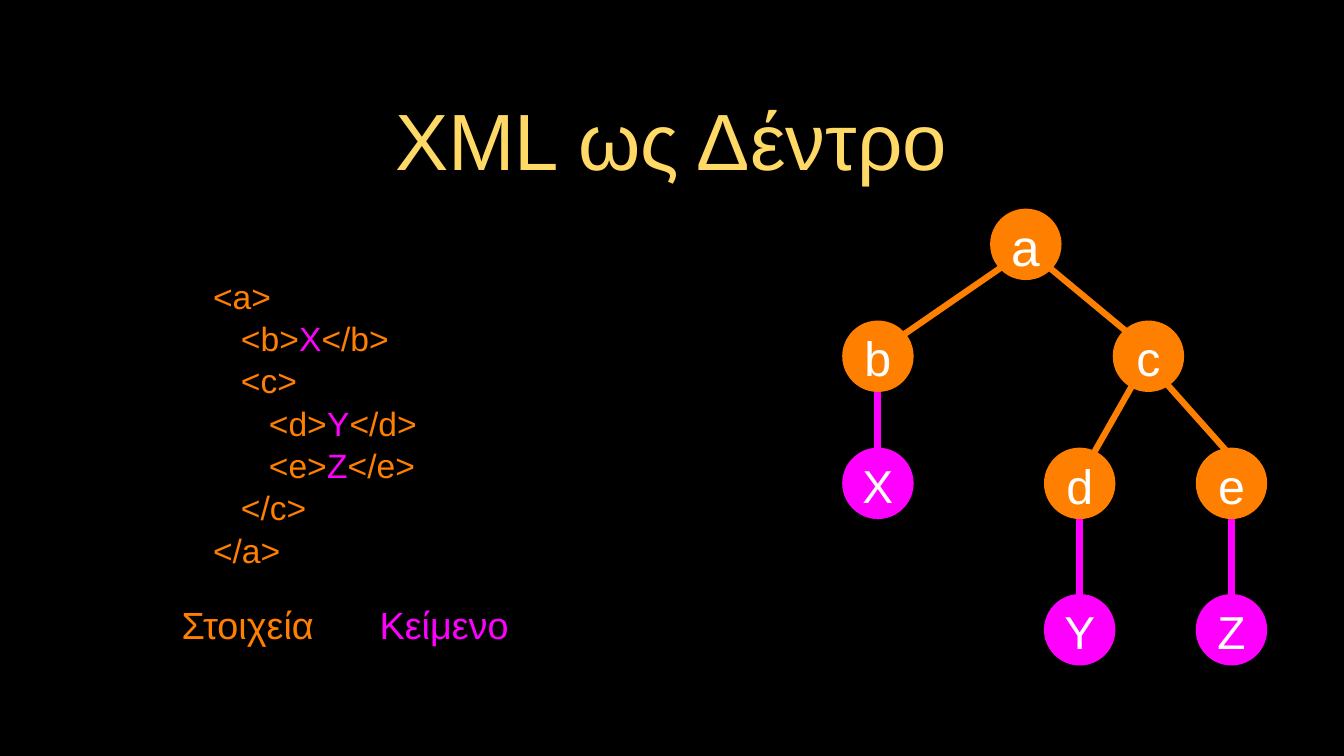
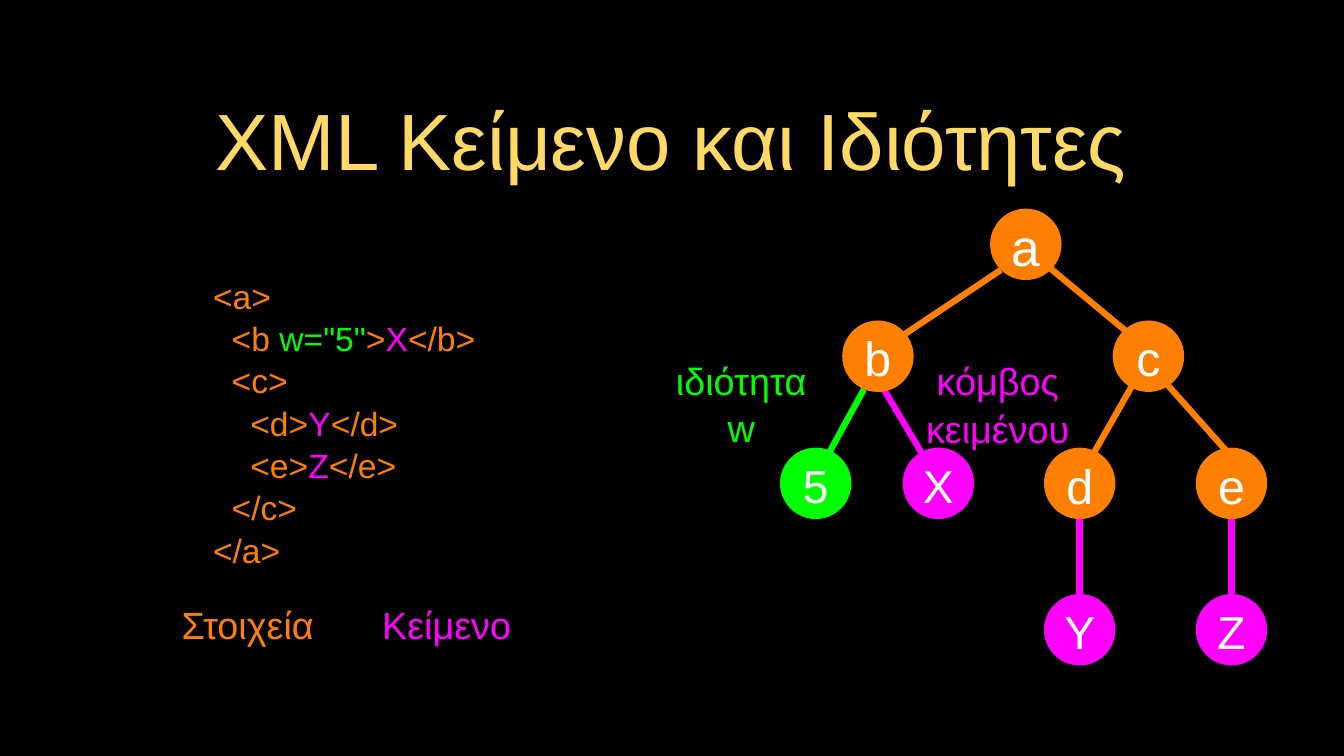
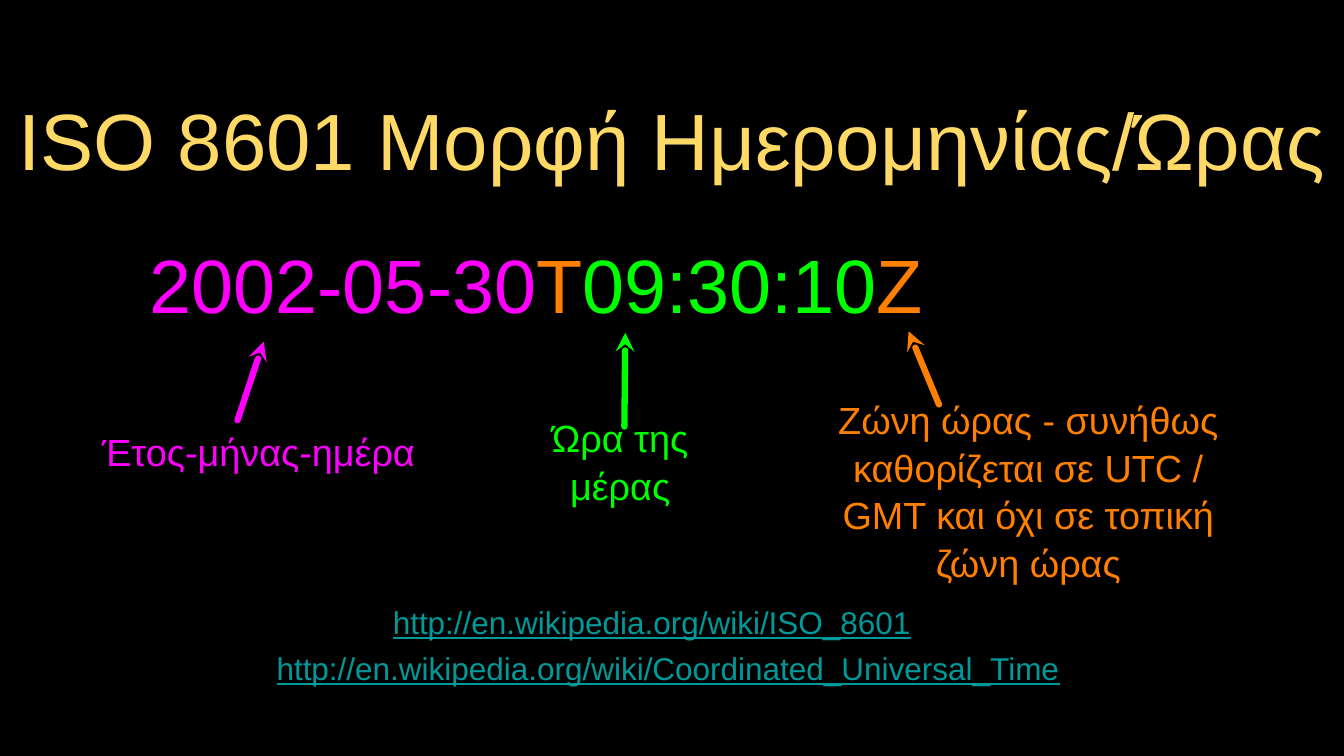
from pptx import Presentation
from pptx.util import Cm, Pt
from pptx.dml.color import RGBColor as RGB
from pptx.enum.shapes import MSO_CONNECTOR as CONN, MSO_SHAPE as SHAPE
from pptx.enum.text import MSO_ANCHOR as ANCHOR, PP_ALIGN as ALIGN
from lxml import etree
from pptx.oxml.ns import qn

COLORS = {
    "back": "000000",
    "title": "FFD966",
    "element": "FF7F00",
    "text": "FF00FF",
    "attr": "00FF00",
    "link": "009999",
    "white": "FFFFFF",
}
FONT = "Arial"
NODE = 2.4  # circle diameter


def write(s, lines, size, align=ALIGN.CENTER, inset=0, underline=None):
    """Fill a shape with lines, each a list of (text, colour name) pairs."""
    tf = s.text_frame
    tf.word_wrap = True
    tf.vertical_anchor = ANCHOR.MIDDLE
    tf.margin_left = tf.margin_right = tf.margin_top = tf.margin_bottom = Cm(inset)
    for i, line in enumerate(lines):
        p = tf.add_paragraph() if i else tf.paragraphs[0]
        p.alignment = align
        p.line_spacing = 1.05
        for text, color in line:
            r = p.add_run()
            r.text = text
            r.font.name = FONT
            r.font.size = Pt(size)
            r.font.underline = underline
            r.font.color.rgb = RGB.from_string(COLORS[color])


def add_line(slide, ends, color):
    """Draw a thick line without shadow and return its a:ln element."""
    s = slide.shapes.add_connector(CONN.STRAIGHT, *map(Cm, ends))
    s.line.width = Pt(6)
    s.line.color.rgb = RGB.from_string(COLORS[color])
    etree.SubElement(s._element.spPr, qn("a:effectLst"))
    return s.line._get_or_add_ln()


prs = Presentation()
prs.slide_width, prs.slide_height = Cm(45.16), Cm(25.4)

# Shared background
fill = prs.slide_master.background.fill
fill.solid()
fill.fore_color.rgb = RGB.from_string(COLORS["back"])

# Slides and their titles: text, left, width
slides = []
for title, left, width in [
    ("XML ως Δέντρο", 3.2, 38.71),
    ("XML Κείμενο και Ιδιότητες", 3.2, 38.71),
    ("ISO 8601 Μορφή Ημερομηνίας/Ώρας", 0.2, 44.75),
]:
    slide = prs.slides.add_slide(prs.slide_layouts[6])
    s = slide.shapes.add_textbox(Cm(left), Cm(2.11), Cm(width), Cm(4.93))
    write(s, [[(title, "title")]], 76, inset=0.1)
    slides.append(slide)
tree_slide, attr_slide, date_slide = slides

# Tree parts found on both tree slides
shared_nodes = [  # label, left, top, size, colour
    ("a", 33.27, 7.01, 49, "element"),
    ("b", 28.3, 10.77, 46, "element"),
    ("c", 37.39, 10.77, 46, "element"),
    ("d", 35.08, 15.04, 46, "element"),
    ("e", 40.18, 15.04, 46, "element"),
    ("Y", 35.08, 19.96, 44, "text"),
    ("Z", 40.18, 19.96, 44, "text"),
]
shared_edges = [
    ((35.08, 8.84, 38.02, 11.28), "element"),
    ((38.13, 12.8, 36.6, 15.49), "element"),
    ((39.07, 12.75, 41.2, 15.14), "element"),
    ((36.27, 17.2, 36.27, 20.07), "text"),
    ((41.38, 17.2, 41.38, 20.07), "text"),
]

# Parts that differ: attribute in <b>, indent step, code width, legend width
trees = [
    (tree_slide, [], "   ", 7.57, 4.55,
     [("X", 28.3, 15.04, 44, "text")],
     [((34.04, 8.71, 30.02, 11.48), "element"),
      ((29.49, 12.73, 29.49, 15.6), "text")]),
    (attr_slide, [(" ", "element"), ('w="5"', "attr")], "  ", 10.21, 4.72,
     [("X", 30.33, 15.04, 44, "text"), ("5", 26.21, 15.04, 44, "attr")],
     [((33.63, 9.07, 30.02, 11.48), "element"),
      ((29.49, 12.73, 31.04, 15.34), "text"),
      ((29.03, 13.08, 27.86, 15.21), "attr")]),
]

for slide, attr, step, code_width, legend_width, nodes, edges in trees:
    # XML code
    code = [
        [("<a>", "element")],
        [(step + "<b", "element"), *attr, (">", "element"), ("X", "text"), ("</b>", "element")],
        [(step + "<c>", "element")],
        [(step * 2 + "<d>", "element"), ("Y", "text"), ("</d>", "element")],
        [(step * 2 + "<e>", "element"), ("Z", "text"), ("</e>", "element")],
        [(step + "</c>", "element")],
        [("</a>", "element")],
    ]
    s = slide.shapes.add_textbox(Cm(7.16), Cm(8.79), Cm(code_width), Cm(10.77))
    write(s, code, 32, ALIGN.LEFT)

    # Edges behind nodes
    for ends, color in shared_edges + edges:
        add_line(slide, ends, color)
    for label, left, top, size, color in shared_nodes + nodes:
        s = slide.shapes.add_shape(SHAPE.OVAL, Cm(left), Cm(top), Cm(NODE), Cm(NODE))
        s.shadow.inherit = False
        s.fill.solid()
        s.fill.fore_color.rgb = RGB.from_string(COLORS[color])
        s.line.fill.background()
        write(s, [[(label, "white")]], size)

    # Legend
    for label, left, width, color in [
        ("Στοιχεία", 5.38, 5.89, "element"),
        ("Κείμενο", 12.65, legend_width, "text"),
    ]:
        s = slide.shapes.add_textbox(Cm(left), Cm(20.07), Cm(width), Cm(1.73))
        write(s, [[(label, color)]], 36)

# Labels beside the attribute and text nodes
for label, left, top, width, color in [
    ("ιδιότητα w", 22.58, 11.94, 4.65, "attr"),
    ("κόμβος κειμένου", 31.06, 11.96, 4.93, "text"),
]:
    s = attr_slide.shapes.add_textbox(Cm(left), Cm(top), Cm(width), Cm(3.18))
    write(s, [[(label, color)]], 36)

# Date and time value
s = date_slide.shapes.add_textbox(Cm(5.03), Cm(7.85), Cm(30.3), Cm(3.2))
stamp = [("2002-05-30", "text"), ("T", "element"), ("09:30:10", "attr"), ("Z", "element")]
write(s, [stamp], 72, ALIGN.LEFT)

# Explanations, each with an arrow up to its part of the value
for label, box, ends, color in [
    ("Έτος-μήνας-ημέρα", (3.4, 14.27, 10.57, 1.73), (8.86, 11.48, 7.98, 14.12), "text"),
    ("Ώρα της μέρας", (17.65, 14.6, 6.38, 1.73), (21.01, 11.18, 20.98, 14.33), "attr"),
    ("Ζώνη ώρας - συνήθως καθορίζεται σε UTC / GMT και όχι σε τοπική ζώνη ώρας",
     (27.2, 14.15, 14.71, 4.62), (30.53, 11.13, 31.55, 13.59), "element"),
]:
    write(date_slide.shapes.add_textbox(*map(Cm, box)), [[(label, color)]], 36)
    ln = add_line(date_slide, ends, color)
    ln.set("cap", "rnd")
    etree.SubElement(ln, qn("a:headEnd"), type="stealth")

# Web addresses
for url, left, top, width in [
    ("http://en.wikipedia.org/wiki/ISO_8601", 10.26, 19.99, 23.29),
    ("http://en.wikipedia.org/wiki/Coordinated_Universal_Time", 6.5, 21.54, 31.9),
]:
    s = date_slide.shapes.add_textbox(Cm(left), Cm(top), Cm(width), Cm(1.73))
    write(s, [[(url, "link")]], 30, underline=True)

prs.save("out.pptx")
